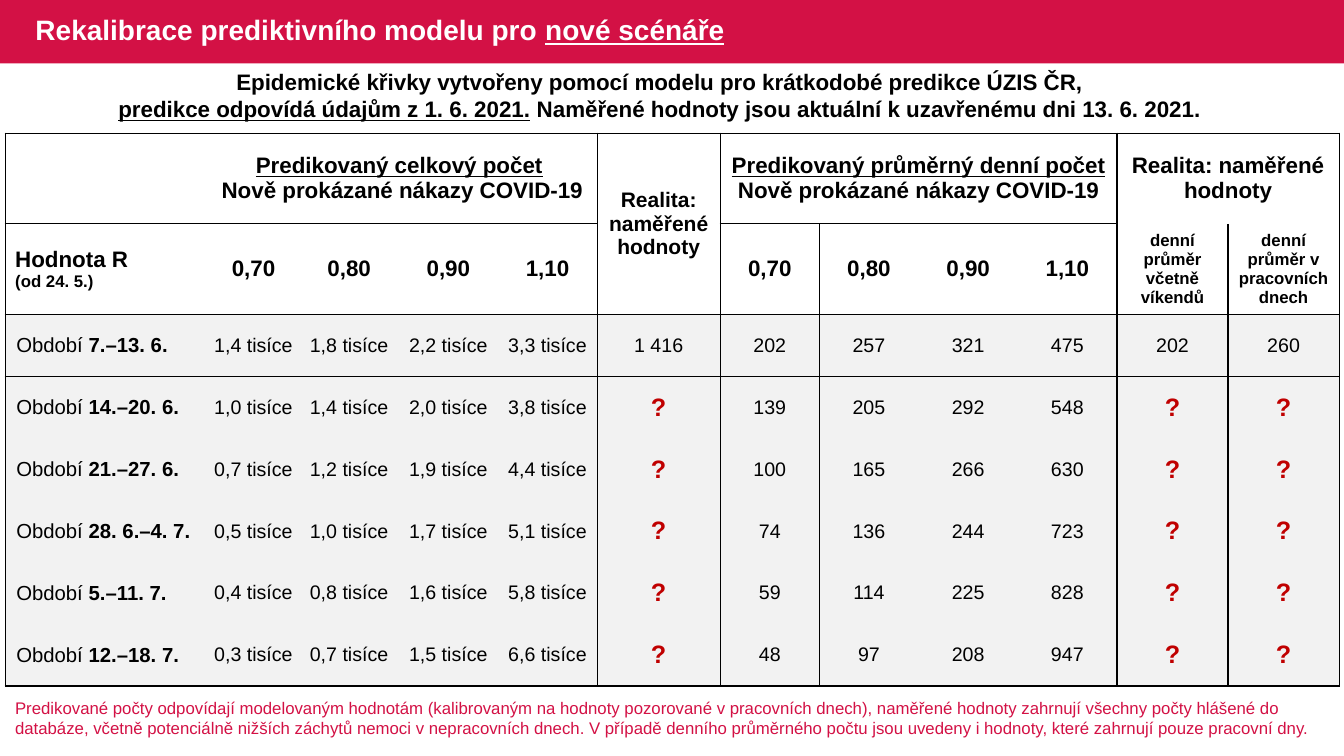
from copy import deepcopy

from lxml import etree
from pptx import Presentation
from pptx.dml.color import RGBColor
from pptx.enum.shapes import MSO_SHAPE
from pptx.enum.text import MSO_ANCHOR, PP_ALIGN
from pptx.oxml.ns import qn
from pptx.util import Cm, Pt

RECTANGLE = MSO_SHAPE.RECTANGLE
MIDDLE = MSO_ANCHOR.MIDDLE
LEFT, CENTER = PP_ALIGN.LEFT, PP_ALIGN.CENTER

CRIMSON = RGBColor(0xD3, 0x11, 0x45)
DARK_RED = RGBColor(0xC0, 0x00, 0x00)
BLACK = RGBColor(0x00, 0x00, 0x00)
WHITE = RGBColor(0xFF, 0xFF, 0xFF)
LIGHT_GRAY = RGBColor(0xF2, 0xF2, 0xF2)

COLUMN_WIDTHS = [5.1, 2.32] + [2.5] * 3 + [3.1] + [2.5] * 4 + [2.8] * 2
ROW_HEIGHTS = [2.28, 2.16] + [1.56] * 6
R_VALUES = ["0,70", "0,80", "0,90", "1,10"]
PERIODS = [
    ("7.–13. 6.", ["1,4", "1,8", "2,2", "3,3"], ["202", "257", "321", "475"], ["1 416", "202", "260"]),
    ("14.–20. 6.", ["1,0", "1,4", "2,0", "3,8"], ["139", "205", "292", "548"], ["?"] * 3),
    ("21.–27. 6.", ["0,7", "1,2", "1,9", "4,4"], ["100", "165", "266", "630"], ["?"] * 3),
    ("28. 6.–4. 7.", ["0,5", "1,0", "1,7", "5,1"], ["74", "136", "244", "723"], ["?"] * 3),
    ("5.–11. 7.", ["0,4", "0,8", "1,6", "5,8"], ["59", "114", "225", "828"], ["?"] * 3),
    ("12.–18. 7.", ["0,3", "0,7", "1,5", "6,6"], ["48", "97", "208", "947"], ["?"] * 3),
]
MERGED_HEADERS = [(0, 1, 0, 4), (0, 5, 1, 5), (0, 6, 0, 9), (0, 10, 0, 11)]


def has_vertical_line(row, boundary):
    """Tell whether a column boundary is ruled in the given row."""
    return boundary in (0, 5, 6, 10, 12) or (boundary in (7, 11) and row > 0)


def has_horizontal_line(boundary, column):
    """Tell whether a row boundary is ruled in the given column."""
    return boundary in (0, 2, 3, 8) or (boundary == 1 and column not in (5, 10, 11))


class SlideBuilder:
    """Hold the font and the current slide, and add each kind of element."""

    font_name = "Arial"

    def __init__(self, presentation):
        """Add a slide with a title placeholder."""
        self.slide = presentation.slides.add_slide(presentation.slide_layouts[5])

    def set_text(self, text_frame, paragraphs, color=BLACK, alignment=CENTER):
        """Fill a frame with paragraphs of (text, size, bold, underline) runs."""
        text_frame.word_wrap = True
        for index, runs in enumerate(paragraphs):
            paragraph = text_frame.add_paragraph() if index else text_frame.paragraphs[0]
            paragraph.alignment = alignment
            for text, size, bold, underline in runs:
                run = paragraph.add_run()
                run.text = text.rstrip("\n")
                run.font.name = self.font_name
                run.font.size = Pt(size)
                run.font.bold = bold
                run.font.underline = underline
                run.font.color.rgb = color
                if text.endswith("\n"):
                    paragraph.add_line_break()
                    run._r.getnext().append(deepcopy(run._r.get_or_add_rPr()))

    def title(self, runs, left, top, width, height):
        """Place and fill the slide title."""
        title = self.slide.shapes.title
        title.left, title.top, title.width, title.height = Cm(left), Cm(top), Cm(width), Cm(height)
        title.text_frame.vertical_anchor = MIDDLE
        self.set_text(title.text_frame, [runs], WHITE, LEFT)
        title.text_frame.paragraphs[0].line_spacing = 0.9

    def title_band(self, width, height):
        """Draw the coloured band behind the title."""
        band = self.slide.shapes.add_shape(RECTANGLE, Cm(0), Cm(0), Cm(width), Cm(height))
        band.shadow.inherit = False
        band.fill.solid()
        band.fill.fore_color.rgb = CRIMSON
        band.line.fill.background()
        self.slide.shapes.title.element.addprevious(band.element)

    def text_box(self, runs, left, top, width, height, color=BLACK, alignment=CENTER):
        """Add a wrapped text box with one paragraph."""
        box = self.slide.shapes.add_textbox(Cm(left), Cm(top), Cm(width), Cm(height))
        self.set_text(box.text_frame, [runs], color, alignment)

    def table(self, left, top, column_widths, row_heights, merges):
        """Add a table with sized rows and columns and merged cells."""
        frame = self.slide.shapes.add_table(
            len(row_heights), len(column_widths), Cm(left), Cm(top),
            Cm(sum(column_widths)), Cm(sum(row_heights)))
        table = frame.table
        table.first_row = table.horz_banding = False
        for column, width in zip(table.columns, column_widths):
            column.width = Cm(width)
        for row, height in zip(table.rows, row_heights):
            row.height = Cm(height)
        for first_row, first_column, last_row, last_column in merges:
            table.cell(first_row, first_column).merge(table.cell(last_row, last_column))
        return table

    def cell(self, cell, paragraphs, color=BLACK, alignment=CENTER, margins=None):
        """Fill a cell, with horizontal margins if it has no default ones."""
        cell.vertical_anchor = MIDDLE
        if margins is not None:
            cell.margin_left, cell.margin_right = Cm(margins[0]), Cm(margins[1])
            cell.margin_top = cell.margin_bottom = Cm(0)
        self.set_text(cell.text_frame, paragraphs, color, alignment)

    def rule_cells(self, table):
        """Fill every cell and draw its borders."""
        for row in range(len(table.rows)):
            for column in range(len(table.columns)):
                cell = table.cell(row, column)
                right = column + (cell.span_width if cell.is_merge_origin else 1)
                bottom = row + (cell.span_height if cell.is_merge_origin else 1)
                edges = {
                    "a:lnL": has_vertical_line(row, column),
                    "a:lnR": has_vertical_line(row, right),
                    "a:lnT": has_horizontal_line(row, column),
                    "a:lnB": has_horizontal_line(bottom, column),
                }
                properties = cell._tc.get_or_add_tcPr()
                for tag, ruled in edges.items():
                    line = etree.SubElement(properties, qn(tag), w=str(Pt(1)))
                    fill = etree.SubElement(line, qn("a:solidFill" if ruled else "a:noFill"))
                    if ruled:
                        etree.SubElement(fill, qn("a:srgbClr"), val=str(BLACK))
                cell.fill.solid()
                cell.fill.fore_color.rgb = LIGHT_GRAY if row > 1 else WHITE


def add_headers(builder, table):
    """Fill the two header rows."""
    infections = "Nově prokázané nákazy COVID-19"
    headers = {
        (0, 1): [[("Predikovaný celkový počet", 16, True, True), (" \n", 16, True, False),
                  (infections, 16, True, False)]],
        (0, 5): [[("Realita: naměřené", 15, True, False)], [("hodnoty", 15, True, False)]],
        (0, 6): [[("Predikovaný průměrný denní počet", 16, True, True),
                  (" " + infections, 16, True, False)]],
        (0, 10): [[("Realita: naměřené", 16, True, False)], [("hodnoty", 16, True, False)]],
        (1, 10): [[("denní průměr včetně víkendů", 12, True, False)]],
        (1, 11): [[("denní průměr v pracovních dnech", 12, True, False)]],
    }
    for position, paragraphs in headers.items():
        builder.cell(table.cell(*position), paragraphs)
    builder.cell(table.cell(1, 0), [[("Hodnota R\n", 16, True, False),
                                     ("(od 24. 5.)", 12, True, False)]], alignment=LEFT)
    for first_column in (1, 6):
        for column, value in enumerate(R_VALUES, first_column):
            builder.cell(table.cell(1, column), [[(value, 16, True, False)]], margins=(0.03, 0.03))


def add_periods(builder, table):
    """Fill one row for each predicted period."""
    for row, (period, totals, daily, reality) in enumerate(PERIODS, 2):
        builder.cell(table.cell(row, 0), [[("Období ", 14.5, False, False),
                                           (period, 14.5, True, False)]],
                     alignment=LEFT, margins=(0.28, 0.03))
        values = [f"{total} tisíce" for total in totals] + reality[:1] + daily + reality[1:]
        for column, value in enumerate(values, 1):
            unknown = value == "?"
            builder.cell(table.cell(row, column),
                         [[(value, 18 if unknown else 14, unknown, False)]],
                         DARK_RED if unknown else BLACK, margins=(0, 0))


def main():
    """Build and save the slide."""
    presentation = Presentation()
    presentation.slide_width, presentation.slide_height = Cm(33.87), Cm(19.05)
    builder = SlideBuilder(presentation)
    builder.title_band(33.87, 1.6)
    builder.title([("Rekalibrace prediktivního modelu pro ", 20, True, False),
                   ("nové scénáře", 20, True, True)], 0.64, 0, 18.82, 1.6)
    builder.text_box([
        ("Epidemické křivky vytvořeny pomocí modelu pro krátkodobé predikce ÚZIS ČR,\n", 16, True, False),
        ("predikce odpovídá údajům z 1. 6. 2021.", 16, True, True),
        (" Naměřené hodnoty jsou aktuální k uzavřenému dni 13. 6. 2021.", 16, True, False),
    ], -0.48, 1.6, 34.21, 1.63)
    table = builder.table(0.13, 3.36, COLUMN_WIDTHS, ROW_HEIGHTS, MERGED_HEADERS)
    add_headers(builder, table)
    add_periods(builder, table)
    builder.rule_cells(table)
    builder.text_box([(
        "Predikované počty odpovídají modelovaným hodnotám (kalibrovaným na hodnoty pozorované "
        "v pracovních dnech), naměřené hodnoty zahrnují všechny počty hlášené do databáze, včetně "
        "potenciálně nižších záchytů nemoci v nepracovních dnech. V případě denního průměrného počtu "
        "jsou uvedeny i hodnoty, které zahrnují pouze pracovní dny.", 12, False, False,
    )], 0.13, 17.45, 33.58, 1.27, CRIMSON, LEFT)
    presentation.save("out.pptx")


if __name__ == "__main__":
    main()
